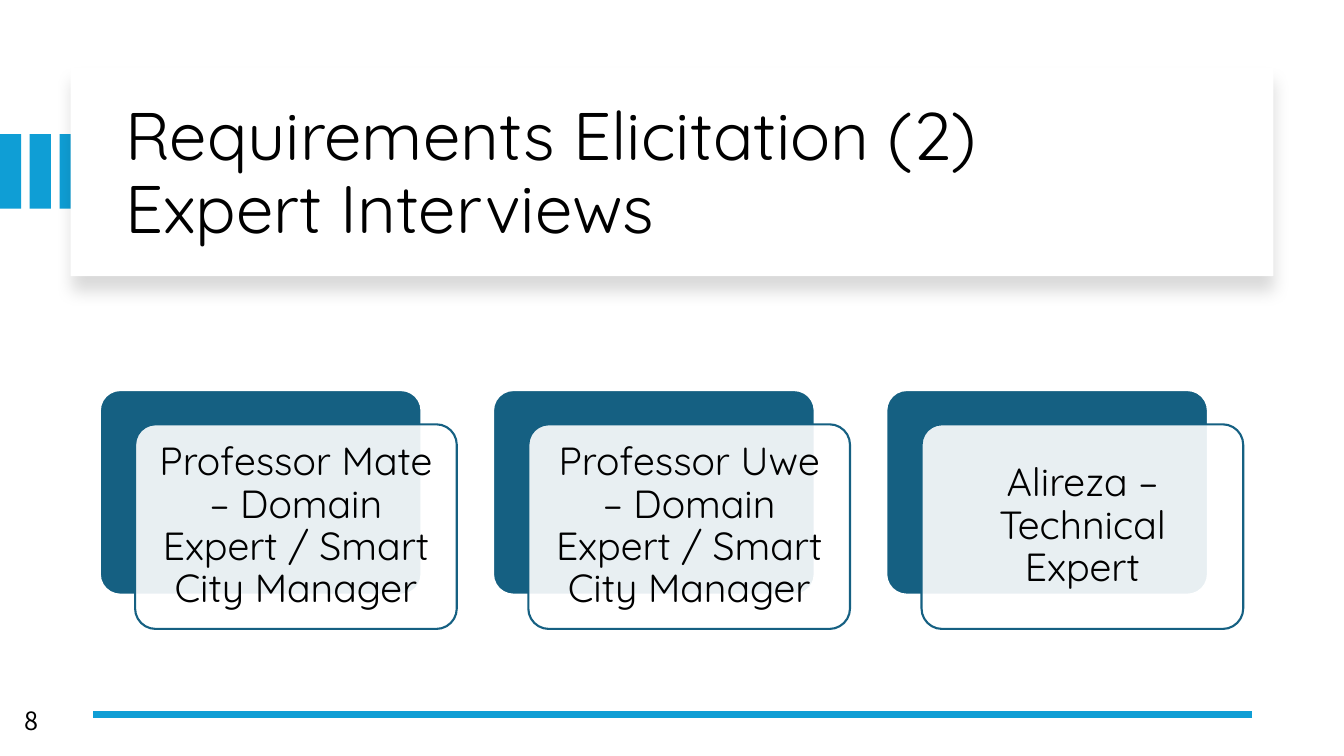
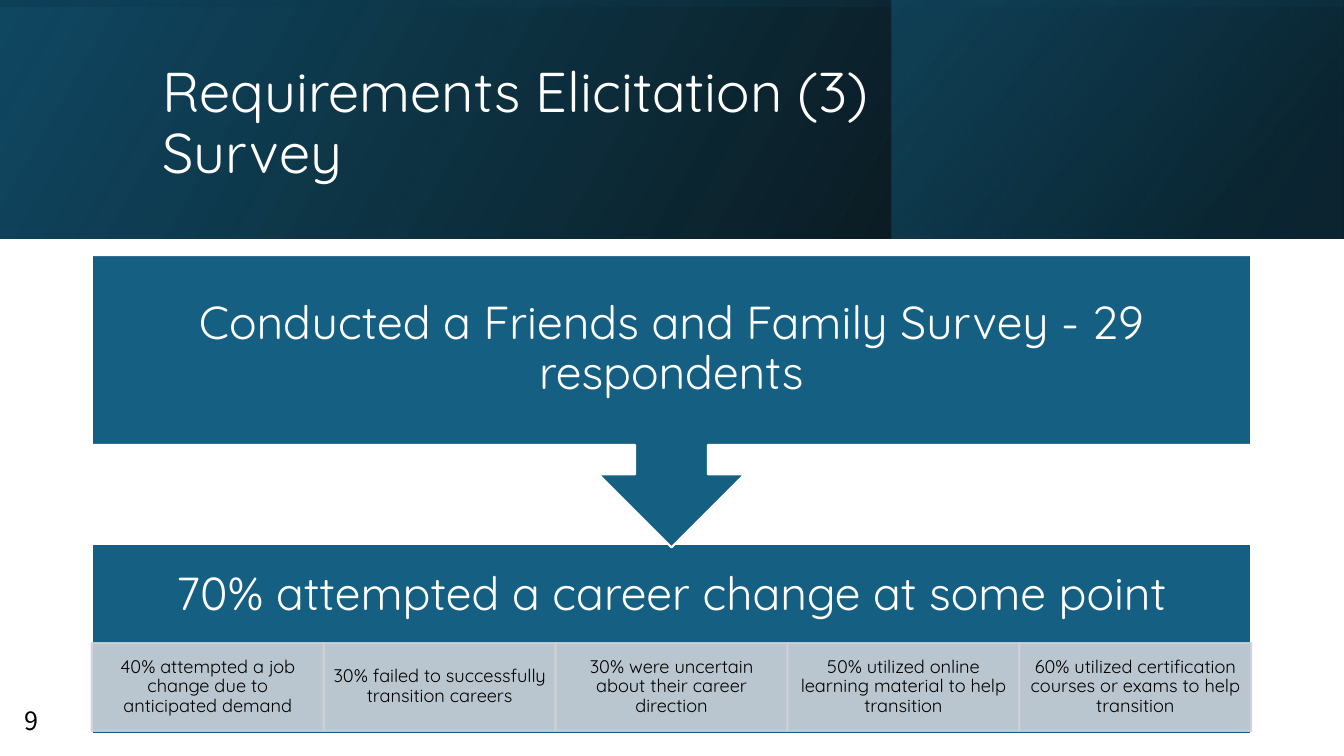
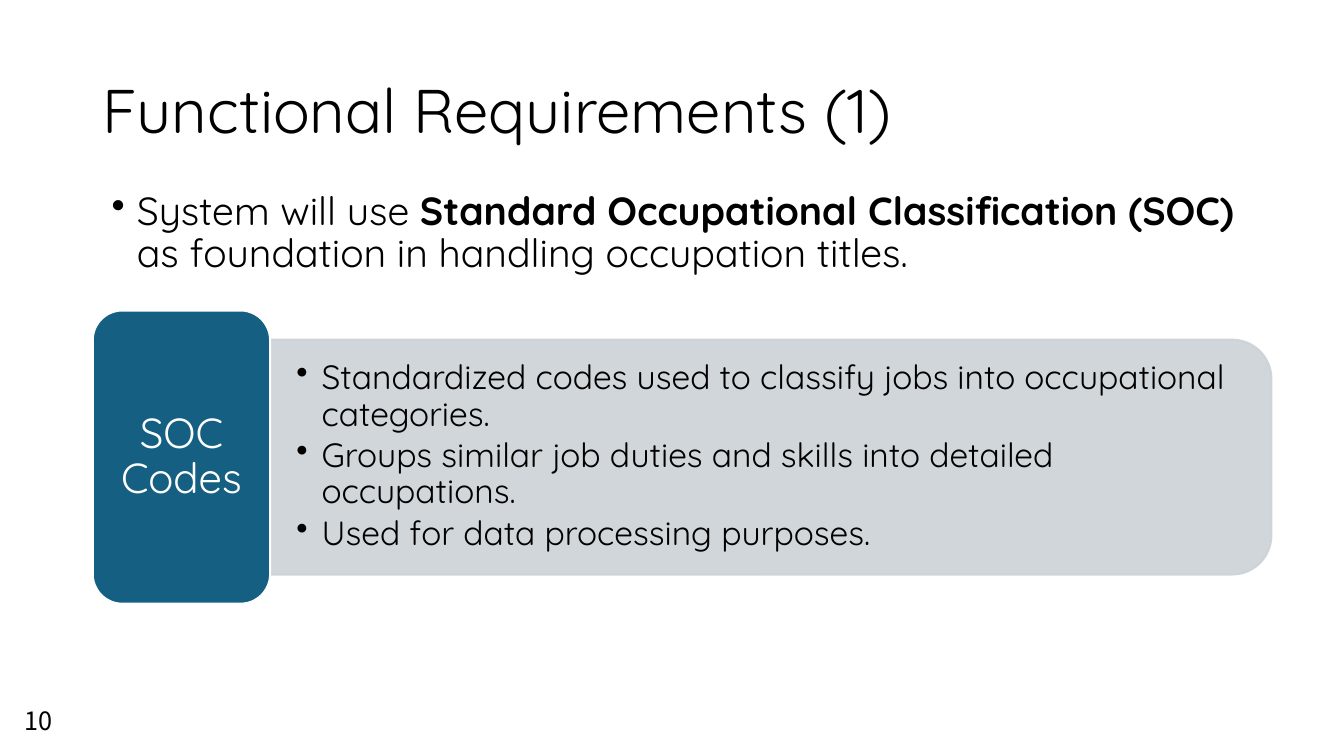
from copy import deepcopy
from dataclasses import dataclass

from lxml import etree
from pptx import Presentation
from pptx.dml.color import RGBColor
from pptx.enum.shapes import MSO_CONNECTOR, MSO_SHAPE
from pptx.enum.text import MSO_ANCHOR, MSO_AUTO_SIZE, PP_ALIGN
from pptx.oxml.ns import qn
from pptx.util import Inches, Pt

RECT = MSO_SHAPE.RECTANGLE
ROUNDED = MSO_SHAPE.ROUNDED_RECTANGLE
ROUNDED_END = MSO_SHAPE.ROUND_2_SAME_RECTANGLE
CALLOUT = MSO_SHAPE.UP_ARROW_CALLOUT
LEFT, CENTER = PP_ALIGN.LEFT, PP_ALIGN.CENTER
TOP, MIDDLE = MSO_ANCHOR.TOP, MSO_ANCHOR.MIDDLE
TITLE_ONLY = 5


@dataclass(frozen=True)
class Theme:
    white: str = "FFFFFF"
    black: str = "000000"
    blue: str = "156082"
    navy: str = "104862"
    deep: str = "0B3041"
    accent: str = "0F9ED5"
    pale: str = "CCD2D8"
    font: str = "Quicksand"
    number_font: str = "Noto Sans CJK JP"
    headline: int = 33
    label: int = 30
    body: int = 28
    detail: int = 24
    number: int = 18
    small: int = 13
    outline: float = 1.5


THEME = Theme()


def set_alpha(parent, percent):
    """Make every colour below an XML element partly transparent."""
    for color in parent.iter(qn("a:srgbClr")):
        etree.SubElement(color, qn("a:alpha"), val=str(percent * 1000))


def write(frame, text, *, size, color=THEME.black, font=THEME.font, align=LEFT,
          anchor=MIDDLE, insets=(0.1, 0.05), bullet=False, spacing=0.9, before=0, after=0):
    """Fill a text frame; text is a string or a list of paragraphs of (words, bold) runs."""
    frame.word_wrap = True
    frame.auto_size = MSO_AUTO_SIZE.NONE
    frame.vertical_anchor = anchor
    frame.margin_left = frame.margin_right = Inches(insets[0])
    frame.margin_top = frame.margin_bottom = Inches(insets[1])
    paragraphs = [[(text, False)]] if isinstance(text, str) else text
    for index, runs in enumerate(paragraphs):
        paragraph = frame.add_paragraph() if index else frame.paragraphs[0]
        paragraph.alignment = align
        paragraph.line_spacing = spacing
        paragraph.space_before, paragraph.space_after = Pt(before), Pt(after)
        if bullet:
            properties = paragraph.runs and None or paragraph._p.get_or_add_pPr()
            properties.set("marL", str(Inches(0.25)))
            properties.set("indent", str(-Inches(0.25)))
            etree.SubElement(properties, qn("a:buChar"), char="•")
        for words, bold in runs:
            for line_index, line in enumerate(words.split("\n")):
                if line_index:
                    paragraph.add_line_break()
                run = paragraph.add_run()
                run.text = line
                run.font.name, run.font.size, run.font.bold = font, Pt(size), bold
                run.font.color.rgb = RGBColor.from_string(color)
                if line_index:
                    line_break = paragraph._p.findall(qn("a:br"))[-1]
                    line_break.append(deepcopy(run._r.rPr))


class Deck:
    """Holds the theme and the slide being built."""

    def __init__(self, theme):
        self.theme = theme
        self.presentation = Presentation()
        self.presentation.slide_width = Inches(13.33)
        self.presentation.slide_height = Inches(7.5)
        self.slide = None

    def new_slide(self, number):
        layout = self.presentation.slide_layouts[TITLE_ONLY]
        self.slide = self.presentation.slides.add_slide(layout)
        self.text(str(number), 0.14, 6.95, 0.65, 0.4, size=self.theme.number,
                  font=self.theme.number_font, anchor=TOP, spacing=1)

    def title(self, text, left, top, width, height, **style):
        """Place the title in front of what has been drawn so far."""
        title = self.slide.shapes.title
        title.left, title.top = Inches(left), Inches(top)
        title.width, title.height = Inches(width), Inches(height)
        write(title.text_frame, text, **style)
        self.slide.shapes.element.append(title.element)

    def text(self, text, left, top, width, height, **style):
        box = self.slide.shapes.add_textbox(
            Inches(left), Inches(top), Inches(width), Inches(height))
        write(box.text_frame, text, **style)

    def shape(self, kind, left, top, width, height, *, fill=None, line=None,
              fill_alpha=None, line_alpha=None, rotation=0, corner=None):
        shape = self.slide.shapes.add_shape(
            kind, Inches(left), Inches(top), Inches(width), Inches(height))
        shape.shadow.inherit = False
        shape.rotation = rotation
        if corner is not None:
            shape.adjustments[0] = corner
        if fill:
            shape.fill.solid()
            shape.fill.fore_color.rgb = RGBColor.from_string(fill)
        if fill_alpha:
            set_alpha(shape.element.spPr.find(qn("a:solidFill")), fill_alpha)
        if line:
            shape.line.color.rgb = RGBColor.from_string(line)
            shape.line.width = Pt(self.theme.outline)
        else:
            shape.line.fill.background()
        if line_alpha:
            set_alpha(shape.element.spPr.find(qn("a:ln")), line_alpha)
        return shape

    def solid(self, kind, *place, **options):
        return self.shape(kind, *place, fill=self.theme.blue, line=self.theme.white, **options)

    def pale(self, kind, *place, **options):
        return self.shape(kind, *place, fill=self.theme.pale, line=self.theme.pale,
                          fill_alpha=90, line_alpha=90, **options)

    def gradient(self, left, top, width, height, stops, angle, rotation=0):
        """Draw a mirrored rectangle; stops are (position, colour, opacity) in percent."""
        band = self.shape(RECT, left, top, width, height, rotation=rotation)
        band.element.spPr.find(qn("a:xfrm")).set("flipH", "1")
        band.fill.gradient()
        band.fill.gradient_angle = angle
        elements = band.element.spPr.iter(qn("a:gs"))
        for stop, element, (position, color, opacity) in zip(
                band.fill.gradient_stops, elements, stops):
            stop.position = position / 100
            stop.color.rgb = RGBColor.from_string(color)
            set_alpha(element, opacity)

    def drop_shadow(self, shape, opacity, blur, distance):
        effects = shape.element.spPr.find(qn("a:effectLst"))
        shadow = etree.SubElement(
            effects, qn("a:outerShdw"), blurRad=str(Pt(blur)), dist=str(Pt(distance)),
            dir="5400000", algn="t", rotWithShape="0")
        etree.SubElement(shadow, qn("a:srgbClr"), val=self.theme.black)
        set_alpha(shadow, opacity)

    def rule(self, left, right, y, color, width):
        rule = self.slide.shapes.add_connector(
            MSO_CONNECTOR.STRAIGHT, Inches(right), Inches(y), Inches(left), Inches(y))
        rule.line.color.rgb = RGBColor.from_string(color)
        rule.line.width = Pt(width)
        etree.SubElement(rule.element.spPr, qn("a:effectLst"))


def expert_interviews(deck):
    theme = deck.theme
    deck.new_slide(8)
    for index in range(3):
        deck.shape(RECT, index * 0.295, 1.33, 0.21, 0.74, fill=theme.accent)
    title_card = deck.shape(RECT, 0.7, 0.67, 11.93, 2.07, fill=theme.white)
    deck.drop_shadow(title_card, opacity=15, blur=11, distance=10)
    deck.title("Requirements Elicitation (2)\nExpert Interviews",
               1.14, 0.89, 11.13, 1.7, size=48)
    deck.rule(0.92, 12.42, 7.09, theme.accent, 4.5)
    experts = ["Professor Mate – Domain Expert / Smart City Manager",
               "Professor Uwe – Domain Expert / Smart City Manager",
               "Alireza – Technical Expert"]
    for index, expert in enumerate(experts):
        left = 0.99 + index * 3.9
        deck.solid(ROUNDED, left, 3.87, 3.19, 2.03, corner=0.1)
        card = deck.shape(ROUNDED, left + 0.35, 4.21, 3.19, 2.03, corner=0.1,
                          fill=theme.white, fill_alpha=90, line=theme.blue)
        write(card.text_frame, expert, size=theme.body, align=CENTER, insets=(0.12, 0.12))


def survey(deck):
    theme = deck.theme
    deck.new_slide(9)
    deck.gradient(0, 0, 13.33, 2.37, [(0, theme.black, 96), (100, theme.navy, 100)], 30)
    deck.gradient(8.84, 0, 4.48, 2.37, [(19, theme.deep, 68), (100, theme.blue, 48)], 40)
    deck.gradient(5.48, -5.48, 2.37, 13.33,
                  [(23, theme.navy, 16), (99, theme.black, 45)], 10, rotation=270)
    deck.title("Requirements Elicitation (3)\nSurvey", 1.51, 0.38, 10.63, 1.72,
               size=40, color=theme.white)

    left, width = 0.91, 11.5
    headline = {"size": theme.headline, "color": theme.white, "align": CENTER,
                "insets": (0.26, 0.26)}
    deck.solid(RECT, left, 5.4, width, 1.88)
    deck.text("70% attempted a career change at some point", left, 5.4, width, 1.02, **headline)
    findings = ["40% attempted a job change due to anticipated demand",
                "30% failed to successfully transition careers",
                "30% were uncertain about their career direction",
                "50% utilized online learning material to help transition",
                "60% utilized certification courses or exams to help transition"]
    column = width / len(findings)
    for index, finding in enumerate(findings):
        cell = deck.pale(RECT, left + index * column, 6.38, column, 0.87)
        write(cell.text_frame, finding, size=theme.small, align=CENTER, insets=(0.1, 0.02))
    deck.solid(CALLOUT, left, 2.53, width, 2.9, rotation=180)
    deck.text("Conducted a Friends and Family Survey - 29 respondents",
              left, 2.53, width, 1.88, **headline)


def functional_requirements(deck):
    theme = deck.theme
    deck.new_slide(10)
    deck.title("Functional Requirements (1)", 0.92, 0.4, 11.5, 1.45, size=44)
    deck.text([[("System will use ", False),
                ("Standard Occupational Classification (SOC) ", True),
                ("as foundation in handling occupation titles.", False)]],
              1.01, 1.85, 11.5, 4.6, size=theme.body, anchor=TOP, bullet=True, before=10)
    deck.pale(ROUNDED_END, 6.47, -0.44, 2.33, 9.95, rotation=90)
    facts = ["Standardized codes used to classify jobs into occupational categories.",
             "Groups similar job duties and skills into detailed occupations.",
             "Used for data processing purposes."]
    deck.text([[(fact, False)] for fact in facts], 2.67, 3.48, 9.83, 2.1,
              size=theme.detail, insets=(0.27, 0.14), bullet=True, after=3.6)
    soc_label = deck.solid(ROUNDED, 0.92, 3.08, 1.76, 2.91)
    write(soc_label.text_frame, "SOC Codes", size=theme.label, color=theme.white,
          align=CENTER, insets=(0.12, 0.06))


def main():
    deck = Deck(THEME)
    for build in (expert_interviews, survey, functional_requirements):
        build(deck)
    deck.presentation.save("out.pptx")


if __name__ == "__main__":
    main()
